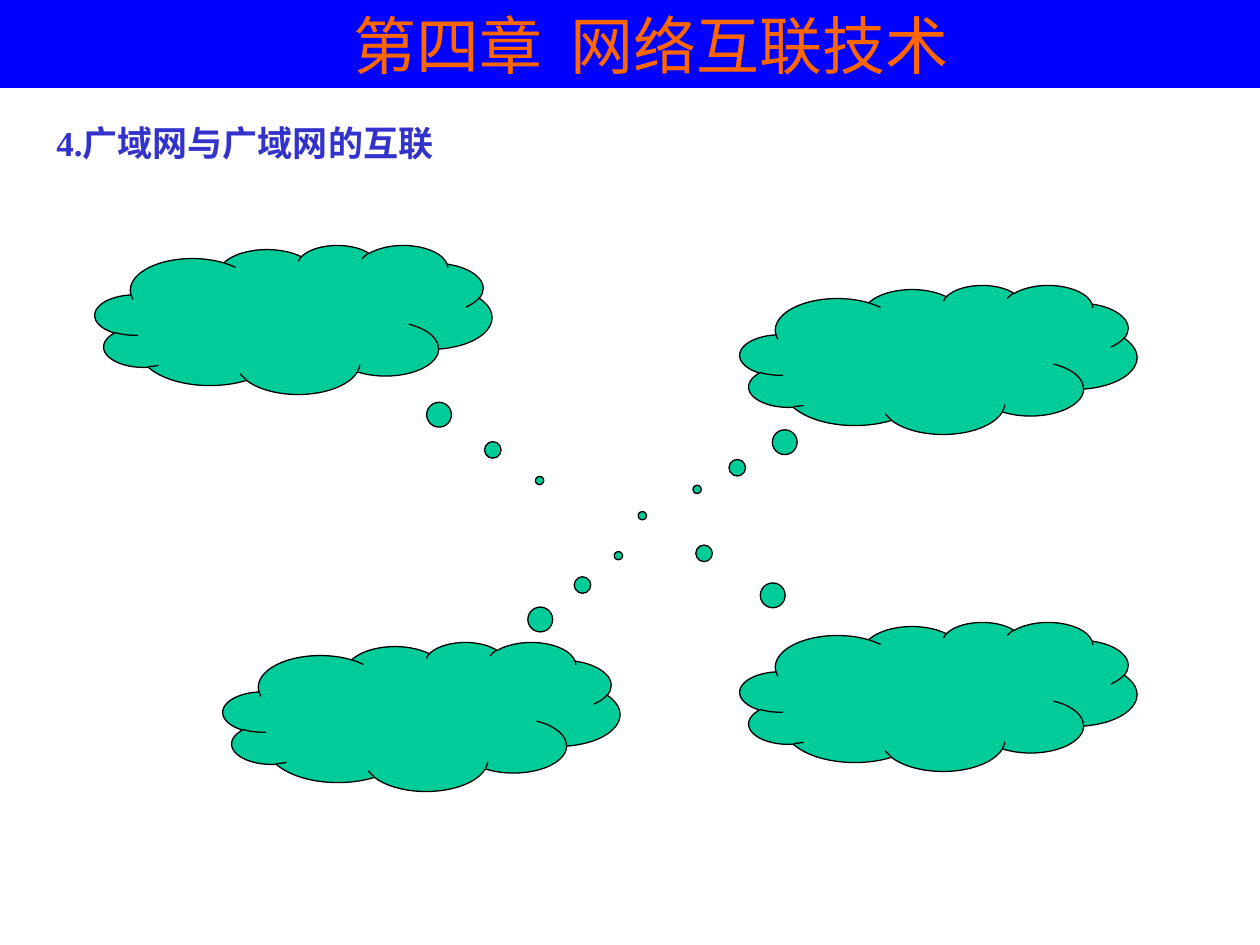
from lxml import etree
from pptx import Presentation
from pptx.dml.color import RGBColor
from pptx.enum.shapes import MSO_SHAPE
from pptx.enum.text import MSO_ANCHOR, MSO_AUTO_SIZE, PP_ALIGN
from pptx.oxml.ns import qn
from pptx.util import Pt

PX = 914400 // 126
CLOUD = MSO_SHAPE.CLOUD_CALLOUT
MIDDLE = MSO_ANCHOR.MIDDLE
NO_AUTOFIT = MSO_AUTO_SIZE.NONE
LEFT, CENTER = PP_ALIGN.LEFT, PP_ALIGN.CENTER

COLORS = {
    "banner": "0000FF",
    "title": "FF6600",
    "heading": "3333CC",
    "cloud": "00CC99",
    "outline": "000000",
}
CHINESE_FONT = "Noto Sans CJK SC"
LATIN_FONT = "Times New Roman"

CLOUD_SIZE = (397, 149)
# Left, top, and where the thought bubbles lead, as shares of the cloud size
CLOUDS = [
    (740, 285, -0.608, 0.872),
    (95, 245, 0.62, 1.081),
    (223, 642, 0.496, -1.079),
    (740, 622, -0.746, -1.213),
]


def color(name):
    return RGBColor.from_string(COLORS[name])


def place(shape, left, top, width, height):
    shape.left, shape.top = left * PX, top * PX
    shape.width, shape.height = width * PX, height * PX


def write_line(shape, text, font_name, size, color_name, bold, alignment):
    """Put one line of mixed Latin and Chinese text into a shape."""
    frame = shape.text_frame
    frame.word_wrap = True
    frame.auto_size = NO_AUTOFIT
    frame.vertical_anchor = MIDDLE
    frame.text = text
    paragraph = frame.paragraphs[0]
    paragraph.alignment = alignment
    font = paragraph.font
    font.name, font.size, font.bold = font_name, Pt(size), bold
    font.color.rgb = color(color_name)
    run_properties = paragraph.runs[0].font._element
    etree.SubElement(run_properties, qn("a:ea"), typeface=CHINESE_FONT)


def add_title(slide):
    title = slide.shapes.title
    place(title, 0, 0, 1260, 88)
    title.fill.solid()
    title.fill.fore_color.rgb = color("banner")
    write_line(title, "第四章  网络互联技术", CHINESE_FONT, 36, "title", False, CENTER)
    # A wide left inset moves the centred title to the right
    title.text_frame.margin_left = 55 * PX


def add_heading(slide):
    heading = slide.shapes.add_textbox(0, 0, 0, 0)
    place(heading, 44, 115, 1012, 55)
    write_line(heading, "4.广域网与广域网的互联", LATIN_FONT, 20, "heading", True, LEFT)


def add_cloud(slide, left, top, tail_x, tail_y):
    cloud = slide.shapes.add_shape(CLOUD, 0, 0, 0, 0)
    place(cloud, left, top, *CLOUD_SIZE)
    cloud.adjustments[0] = tail_x
    cloud.adjustments[1] = tail_y
    cloud.shadow.inherit = False
    cloud.fill.solid()
    cloud.fill.fore_color.rgb = color("cloud")
    cloud.line.color.rgb = color("outline")
    cloud.line.width = Pt(0.75)


def main():
    presentation = Presentation()
    presentation.slide_width = 1260 * PX
    presentation.slide_height = 945 * PX
    title_only = presentation.slide_layouts[5]
    slide = presentation.slides.add_slide(title_only)

    # Banner and section heading
    add_title(slide)
    add_heading(slide)

    # Four wide area networks, with bubbles leading towards the middle
    for cloud in CLOUDS:
        add_cloud(slide, *cloud)

    presentation.save("out.pptx")


if __name__ == "__main__":
    main()
